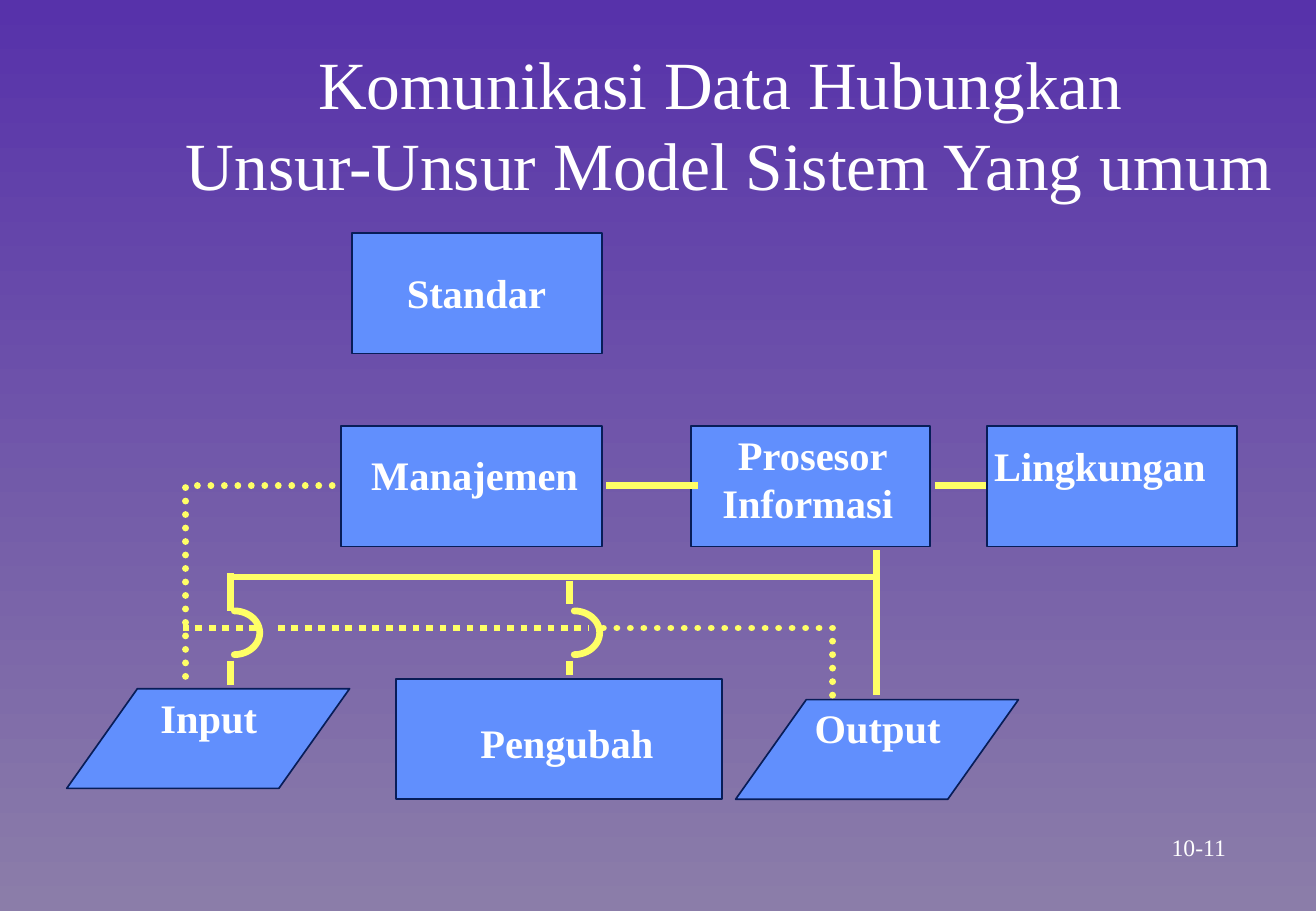
import math
from lxml import etree
from pptx import Presentation
from pptx.dml.color import RGBColor
from pptx.enum.dml import MSO_LINE
from pptx.enum.shapes import MSO_CONNECTOR, MSO_SHAPE
from pptx.enum.text import MSO_ANCHOR, PP_ALIGN
from pptx.oxml.ns import qn
from pptx.util import Inches, Pt

RECT, SLANTED = MSO_SHAPE.RECTANGLE, MSO_SHAPE.PARALLELOGRAM
STRAIGHT, DOTTED = MSO_CONNECTOR.STRAIGHT, MSO_LINE.ROUND_DOT
TOP, MIDDLE, CENTER = MSO_ANCHOR.TOP, MSO_ANCHOR.MIDDLE, PP_ALIGN.CENTER

THEME = {
    "font": "Times New Roman", "title": 40, "label": 24, "number": 14,
    "text": "FFFFFF", "box": "618FFD", "edge": "081D58", "wire": "FFFF66",
    "top": "5732AA", "bottom": "8B7DA9", "edge_width": 1, "wire_width": 4,
}

# Content: shape, left, top, width, height
BOXES = [
    (RECT, 2.9, 1.92, 2.06, 0.99),
    (RECT, 2.81, 3.51, 2.15, 0.99),
    (RECT, 3.26, 5.59, 2.69, 0.99),
    (RECT, 5.69, 3.51, 1.97, 0.99),
    (RECT, 8.13, 3.51, 2.06, 0.99),
    (SLANTED, 6.06, 5.76, 2.33, 0.82),
    (SLANTED, 0.55, 5.67, 2.33, 0.82),
]
# Lines of text, left, top, width, height, size, bold, anchor
TITLE = (["Komunikasi Data Hubungkan\v Unsur-Unsur Model Sistem Yang umum"],
         1.25, 0.3, 9.37, 1.43, "title", False, TOP)
LABELS = [
    (["Standar"], 2.97, 2.16, 1.91, 0.5),
    (["Manajemen"], 2.96, 3.66, 1.9, 0.9),
    (["Prosesor", "Informasi "], 5.62, 3.49, 2.15, 0.9),
    (["Lingkungan"], 8.09, 3.58, 1.94, 0.9),
    (["Input"], 1.22, 5.66, 1, 0.9),
    (["Pengubah"], 3.72, 5.86, 1.9, 0.5),
    (["Output"], 6.61, 5.74, 1.24, 0.9),
]
NUMBER = (["10-11"], 9.24, 6.8, 1.27, 0.34, "number", False, MIDDLE)

# Wires: x1, y1, x2, y2
ENVIRONMENT_LINK = (7.7, 4, 8.19, 4)
SOLID_WIRES = [
    (4.99, 4, 5.75, 4),
    (7.22, 4.53, 7.22, 5.72),
    (7.25, 4.75, 1.87, 4.75),
    (1.9, 5.03, 1.9, 4.72),
    (1.9, 5.44, 1.9, 5.64),
    (4.69, 4.78, 4.69, 4.97),
    (4.69, 5.44, 4.69, 5.56),
]
DOTTED_WIRES = [(2.11, 5.17, 1.51, 5.17), (2.29, 5.17, 4.85, 5.17)]
MANAGEMENT_PATH = [(3.07, 4), (1.53, 4), (1.53, 5.67)]
OUTPUT_PATH = [(4.97, 5.17), (6.86, 5.17), (6.86, 5.75)]
HOP_CENTERS = [(1.93, 5.21), (4.73, 5.21)]
HOP_RX, HOP_RY, HOP_STEPS = 0.21, 0.18, 24


def color(name):
    return RGBColor.from_string(THEME[name])


def style_wire(sp, dotted=False):
    sp.line.color.rgb = color("wire")
    sp.line.width = Pt(THEME["wire_width"])
    if dotted:
        sp.line.dash_style = DOTTED


def add_wire(slide, ends, dotted=False):
    sp = slide.shapes.add_connector(STRAIGHT, *map(Inches, ends))
    style_wire(sp, dotted)
    etree.SubElement(sp._element.spPr, qn("a:effectLst"))


def add_path(slide, points, dotted=False):
    pts = [(Inches(x), Inches(y)) for x, y in points]
    builder = slide.shapes.build_freeform(*pts[0])
    builder.add_line_segments(pts[1:], close=False)
    sp = builder.convert_to_shape()
    sp.fill.background()
    sp.shadow.inherit = False
    style_wire(sp, dotted)
    sp.line._get_or_add_ln().set("cap", "rnd")


def add_hop(slide, cx, cy):
    angles = [math.pi * (i / HOP_STEPS - 0.5) for i in range(HOP_STEPS + 1)]
    add_path(slide, [(cx + HOP_RX * math.cos(a), cy + HOP_RY * math.sin(a))
                     for a in angles])


def add_box(slide, kind, *place):
    sp = slide.shapes.add_shape(kind, *map(Inches, place))
    sp.shadow.inherit = False
    sp.fill.solid()
    sp.fill.fore_color.rgb = color("box")
    sp.line.color.rgb = color("edge")
    sp.line.width = Pt(THEME["edge_width"])
    if kind == SLANTED:
        sp.adjustments[0] = 0.71


def add_text(slide, lines, x, y, w, h, size="label", bold=True, anchor=TOP):
    tf = slide.shapes.add_textbox(*map(Inches, (x, y, w, h))).text_frame
    tf.word_wrap = False
    tf.vertical_anchor = anchor
    for i, line in enumerate(lines):
        p = tf.add_paragraph() if i else tf.paragraphs[0]
        p.text = line
        p.alignment = CENTER
        p.font.name = THEME["font"]
        p.font.size = Pt(THEME[size])
        p.font.bold = bold
        p.font.color.rgb = color("text")


def main():
    prs = Presentation()
    prs.slide_width, prs.slide_height = Inches(10.84), Inches(7.5)
    slide = prs.slides.add_slide(prs.slide_layouts[6])

    # Background
    fill = slide.background.fill
    fill.gradient()
    fill.gradient_angle = 270
    for stop, name in zip(fill.gradient_stops, ("top", "bottom")):
        stop.color.rgb = color(name)

    # Wires behind the boxes
    add_path(slide, MANAGEMENT_PATH, dotted=True)
    add_wire(slide, ENVIRONMENT_LINK)

    # Title and boxes
    add_text(slide, *TITLE)
    for box in BOXES:
        add_box(slide, *box)

    # Wires in front, with hops over the dotted line
    for center in HOP_CENTERS:
        add_hop(slide, *center)
    for ends in SOLID_WIRES:
        add_wire(slide, ends)
    for ends in DOTTED_WIRES:
        add_wire(slide, ends, dotted=True)
    add_path(slide, OUTPUT_PATH, dotted=True)

    # Labels and slide number
    for label in LABELS:
        add_text(slide, *label)
    add_text(slide, *NUMBER)

    prs.save("out.pptx")


if __name__ == "__main__":
    main()
